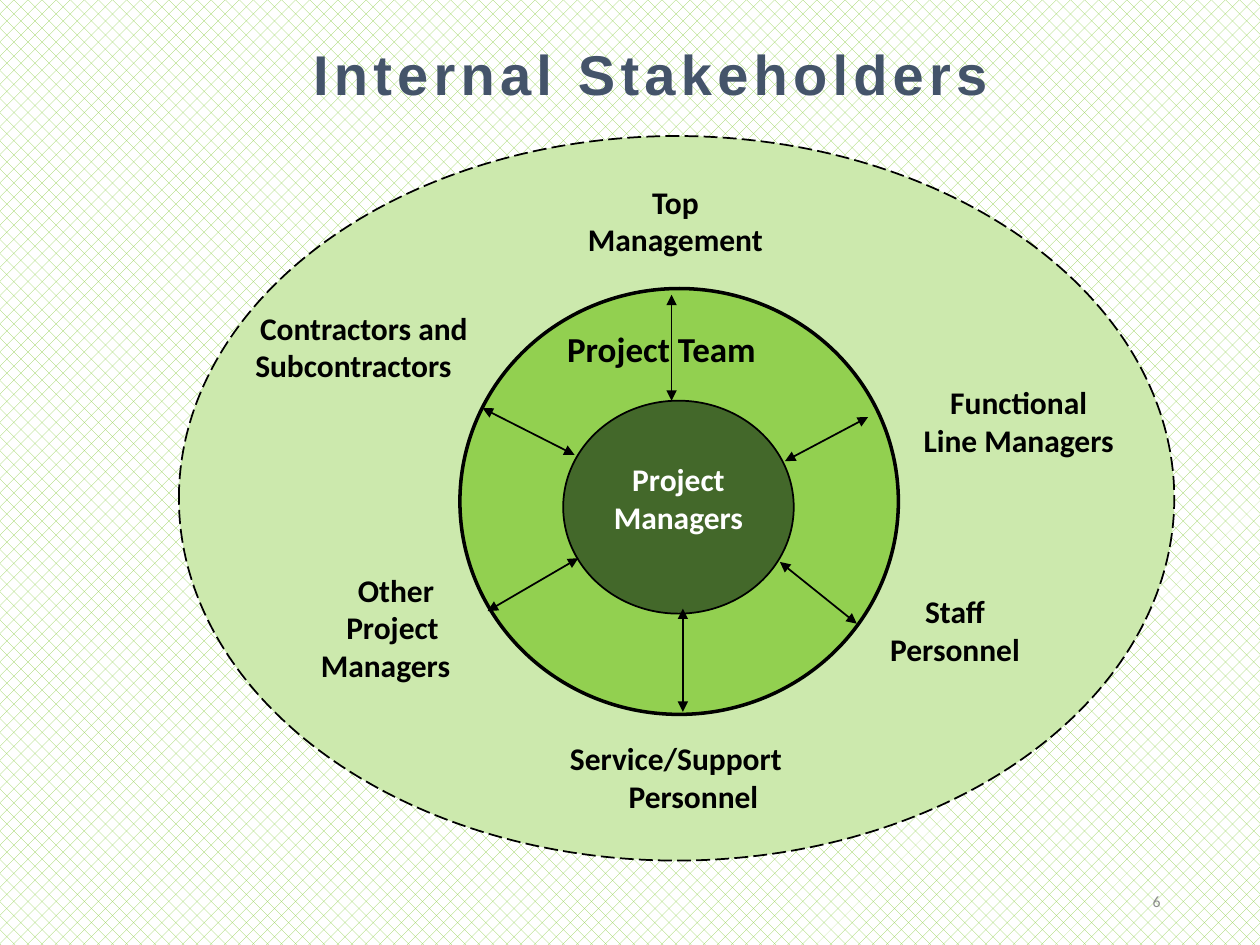
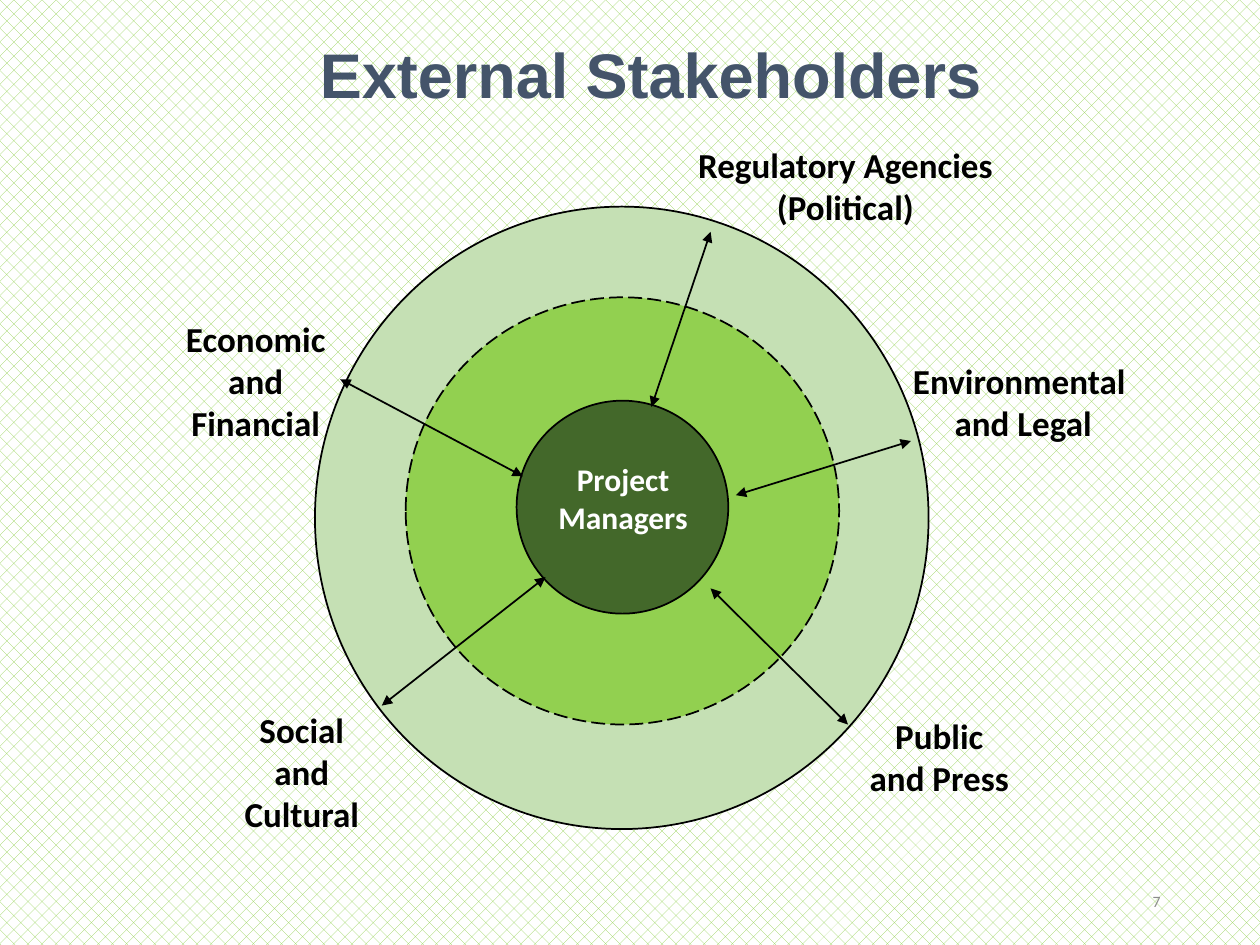
from dataclasses import dataclass
from lxml.etree import SubElement
from pptx import Presentation
from pptx.dml.color import RGBColor
from pptx.enum.dml import MSO_LINE, MSO_PATTERN
from pptx.enum.shapes import MSO_CONNECTOR, MSO_SHAPE
from pptx.enum.text import MSO_ANCHOR, PP_ALIGN
from pptx.oxml.ns import qn
from pptx.util import Inches, Pt

WIDE, HIGH = Inches(10), Inches(7.5)
COL, ROW = WIDE / 100, HIGH / 75  # the slide is a grid of 100 columns by 75 rows

INK = {
    "title": "44546A", "page": "8C8C8C", "black": "000000", "white": "FFFFFF",
    "lime": "92D050", "forest": "43682A", "pale": "CCE9AD", "sage": "C5E0B4",
}


@dataclass
class Box:
    """An area in columns and rows of the slide's grid."""
    left: float
    top: float
    wide: float
    high: float

    def inner(self, left, top, wide, high):
        return Box(self.left + left, self.top + top, wide, high)

    def spot(self, x, y):
        return round((self.left + x) * COL), round((self.top + y) * ROW)

    def frame(self):
        return *self.spot(0, 0), round(self.wide * COL), round(self.high * ROW)


TITLE = Box(5.8, 0.8, 91.7, 10)
PAGE = Box(70.6, 69.5, 22.5, 4)
CHART = Box(10, 10, 85, 60)


def color(name):
    return RGBColor.from_string(INK[name])


def write(slide, box, lines, size, ink="black", face="Calibri", bold=True,
          align=PP_ALIGN.CENTER, anchor=MSO_ANCHOR.TOP, pads=(), space=0):
    """Set one paragraph per line; pads are left indents in points."""
    frame = slide.shapes.add_textbox(*box.frame()).text_frame
    frame.word_wrap = True
    frame.vertical_anchor = anchor
    for i, line in enumerate(lines):
        para = frame.add_paragraph() if i else frame.paragraphs[0]
        para.alignment = align
        if i < len(pads):
            para._p.get_or_add_pPr().set("marL", str(Pt(pads[i])))
        run = para.add_run()
        run.text = line
        font = run.font
        font.name, font.size, font.bold = face, Pt(size), bold
        font.color.rgb = color(ink)
        if space:
            run._r.get_or_add_rPr().set("spc", str(space * 100))


def label(slide, box, mid, top, wide, text, size, ink="black", pads=()):
    """Centre a label on column mid, as high as its lines need."""
    lines = text.split("|")
    high = len(lines) * size / 6 + 1
    write(slide, box.inner(mid - wide / 2, top, wide, high), lines, size, ink,
          pads=pads)


def ring(slide, box, fill, weight=1, dash=False):
    oval = slide.shapes.add_shape(MSO_SHAPE.OVAL, *box.frame())
    oval.shadow.inherit = False
    oval.fill.solid()
    oval.fill.fore_color.rgb = color(fill)
    oval.line.color.rgb = color("black")
    oval.line.width = Pt(weight)
    if dash:
        oval.line.dash_style = MSO_LINE.LONG_DASH


def arrow(slide, box, x1, y1, x2, y2):
    """Draw a line with a head at both ends."""
    link = slide.shapes.add_connector(
        MSO_CONNECTOR.STRAIGHT, *box.spot(x1, y1), *box.spot(x2, y2))
    link.line.color.rgb = color("black")
    link.line.width = Pt(1)
    for end in ("a:headEnd", "a:tailEnd"):
        SubElement(link.line._get_or_add_ln(), qn(end), type="triangle")
    SubElement(link._element.spPr, qn("a:effectLst"))


def base(deck, title, size, page, space=0):
    """Add a slide with the shared ground, title and page number."""
    slide = deck.slides.add_slide(deck.slide_layouts[6])
    fill = slide.background.fill
    fill.patterned()
    fill.pattern = MSO_PATTERN.PERCENT_25
    fill.fore_color.rgb = color("lime")
    fill.back_color.rgb = color("white")
    write(slide, PAGE, [str(page)], 9, "page", bold=False,
          align=PP_ALIGN.RIGHT, anchor=MSO_ANCHOR.MIDDLE)
    write(slide, TITLE, [title], size, "title", "Arial",
          anchor=MSO_ANCHOR.MIDDLE, space=space)
    return slide


def chart(slide, box, rings, core, arrows, labels, size):
    """Fill the box with rings, a core label, arrows and outer labels."""
    for place, *style in rings:
        ring(slide, box.inner(*place), *style)
    label(slide, box, core, 26, 14, "Project|Managers", 18, "white")
    for ends in arrows:
        arrow(slide, box, *ends)
    for mid, top, wide, text, *pads in labels:
        label(slide, box, mid, top, wide, text, size, pads=pads)


def inside(deck):
    slide = base(deck, "Internal Stakeholders", 32, 6, space=3)
    rings = [
        ((4.2, 0.8, 79, 57.5), "pale", 1, True),
        ((26.5, 12.9, 34.8, 33.8), "lime", 2),
        ((34.7, 21.8, 18.3, 16.9), "forest"),
    ]
    arrows = [
        (35.6, 26.1, 28.3, 22.4), (52.3, 26.6, 58.9, 23.1),
        (35.9, 34.3, 28.7, 38.5), (51.9, 34.6, 58, 39.5),
        (43.3, 13.4, 43.3, 21.8), (44.2, 38.3, 44.2, 46.5),
    ]
    labels = [
        (43.6, 4, 17.8, "Top|Management"),
        (70.85, 19.9, 19.1, "Functional|Line Managers"),
        (65.8, 36.5, 13.6, "Staff|Personnel"),
        (43.65, 48.2, 21.1, "Service/Support|Personnel", 0, 20),
        (18.05, 14, 23.5, "Contractors and|Subcontractors", 12),
        (20.6, 34.8, 13.6, "Other|Project|Managers", 12, 8),
    ]
    chart(slide, CHART, rings, 43.85, arrows, labels, 18)
    label(slide, CHART, 42.5, 15.5, 19, "Project Team", 20)


def outside(deck):
    slide = base(deck, "External Stakeholders", 36, 7)
    rings = [
        ((15, 6.4, 48.7, 49.4), "sage"),
        ((22.2, 13.6, 34.4, 33.9), "lime", 1, True),
        ((31, 21.8, 16.8, 16.9), "forest"),
    ]
    arrows = [
        (31.5, 27.8, 17, 20.1), (46.4, 8.4, 41.7, 22.3),
        (48.4, 29.3, 62.3, 25), (33.3, 35.8, 20.3, 46),
        (46.4, 36.7, 57.3, 47.5),
    ]
    labels = [
        (70.9, 18, 21.2, "Environmental|and Legal", 0, 4.5),
        (57.1, 0.9, 28.6, "Regulatory Agencies|(Political)"),
        (64.55, 46.2, 14.5, "Public|and Press"),
        (13.95, 45.7, 14.5, "Social|and|Cultural"),
        (10.3, 14.7, 15, "Economic|and|Financial"),
    ]
    chart(slide, CHART, rings, 39.45, arrows, labels, 20)


def main():
    deck = Presentation()
    deck.slide_width, deck.slide_height = WIDE, HIGH
    inside(deck)
    outside(deck)
    deck.save("out.pptx")


if __name__ == "__main__":
    main()
